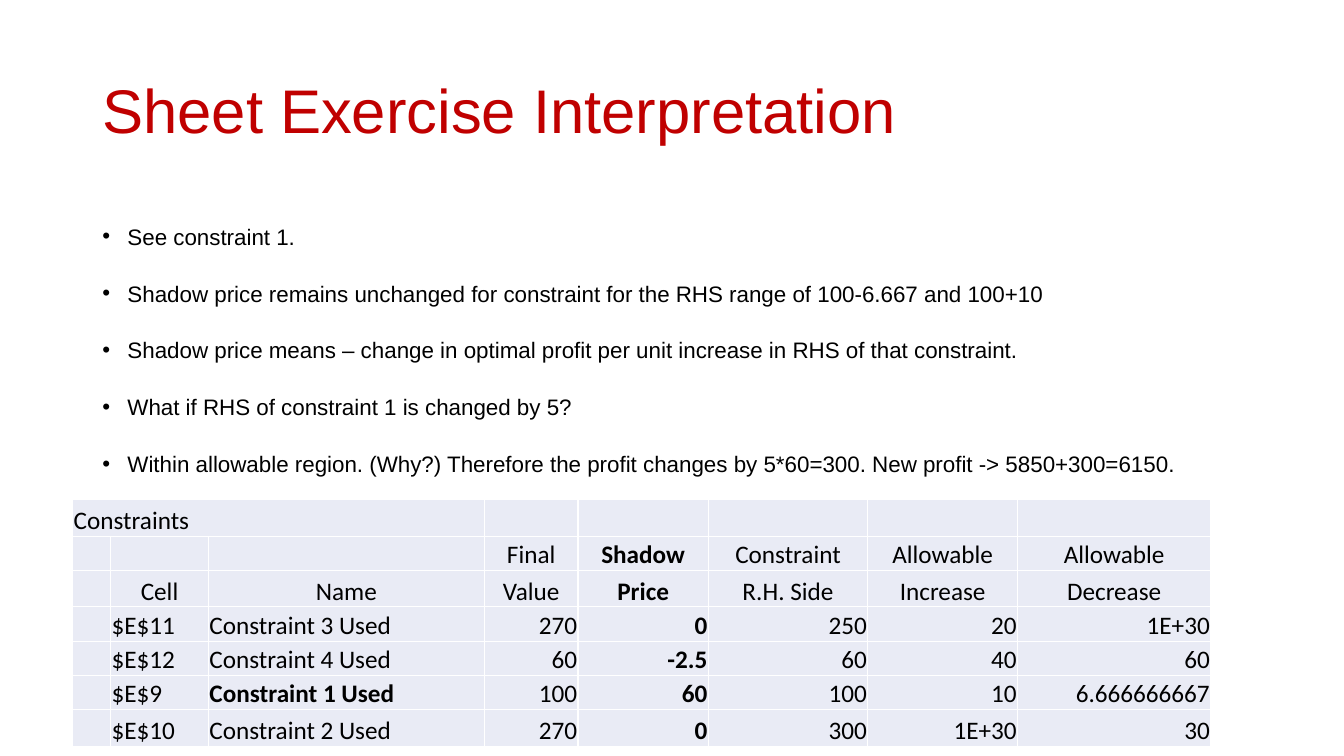
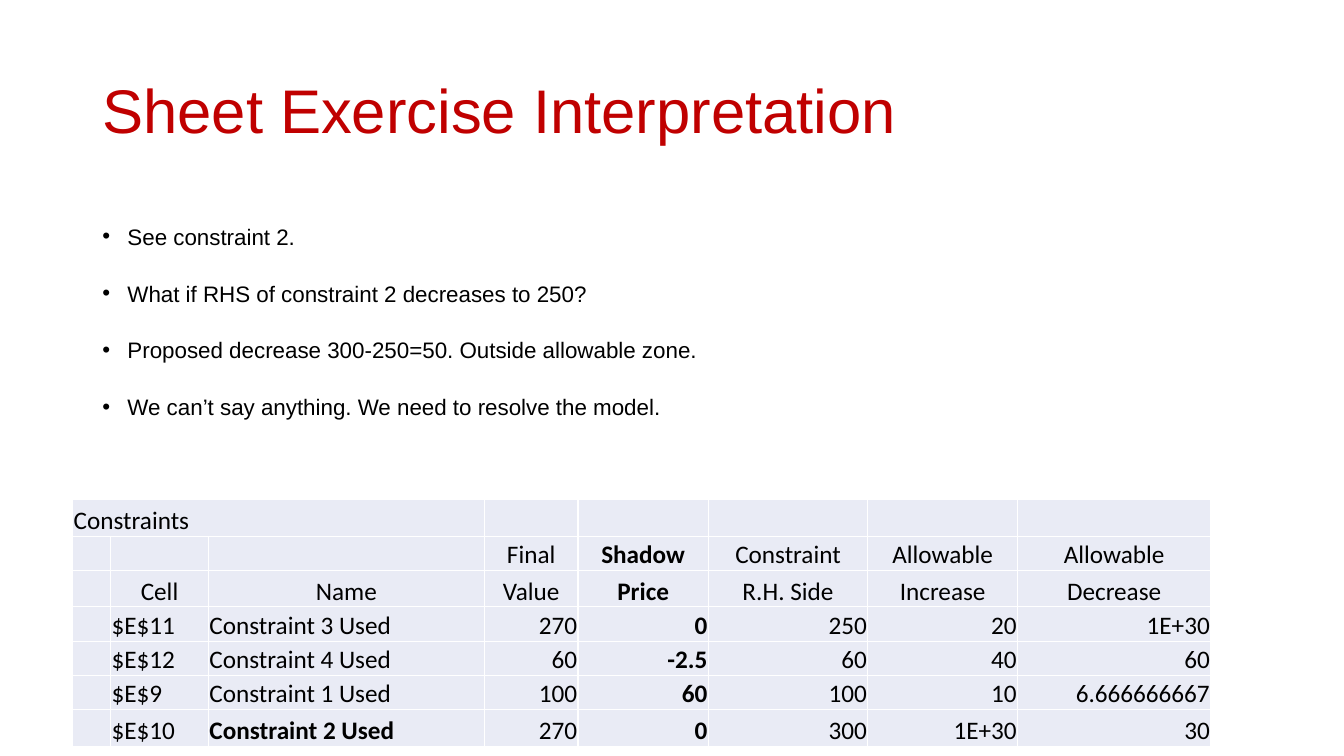
from dataclasses import dataclass

from lxml import etree
from pptx import Presentation
from pptx.dml.color import RGBColor as Rgb
from pptx.enum import text
from pptx.oxml import ns
from pptx.util import Pt


@dataclass(frozen=True)
class Theme:
    red: Rgb = Rgb(0xC0, 0x00, 0x00)
    ink: Rgb = Rgb(0x00, 0x00, 0x00)
    pale: Rgb = Rgb(0xE9, 0xEB, 0xF5)
    face: str = "Arial"
    grid: str = "Calibri"
    head: int = 44
    body: int = 16
    cell: int = 18


T = Theme()
TITLE = "Sheet Exercise Interpretation"
HEAD_BOX = (66, 29, 828, 104)
LIST_BOX = (66, 144, 828, 343)
GRID_BOX = (52, 357, 813, 176)
COLS = (27, 70, 197, 67, 93, 114, 107, 138)
ROWS = (26, 24.5, 26, 24.5, 24.5, 24.5, 26)
PRICE = 4
NAME = 2
HEADS = 3

DATA = (
    ("Constraints", "", "", "", "", "", "", ""),
    ("", "", "", "Final", "Shadow", "Constraint", "Allowable", "Allowable"),
    ("", "Cell", "Name", "Value", "Price", "R.H. Side", "Increase", "Decrease"),
    ("", "$E$11", "Constraint 3 Used", "270", "0", "250", "20", "1E+30"),
    ("", "$E$12", "Constraint 4 Used", "60", "-2.5", "60", "40", "60"),
    ("", "$E$9", "Constraint 1 Used", "100", "60", "100", "10", "6.666666667"),
    ("", "$E$10", "Constraint 2 Used", "270", "0", "300", "1E+30", "30"),
)

SLIDES = (
    ("Constraint 1 Used", (
        "See constraint 1.",
        "Shadow price remains unchanged for constraint for the RHS range of 100-6.667 and 100+10",
        "Shadow price means – change in optimal profit per unit increase in RHS of that constraint.",
        "What if RHS of constraint 1 is changed by 5?",
        "Within allowable region. (Why?) Therefore the profit changes by 5*60=300. "
        "New profit -> 5850+300=6150.",
    )),
    ("Constraint 2 Used", (
        "See constraint 2.",
        "What if RHS of constraint 2 decreases to 250?",
        "Proposed decrease 300-250=50. Outside allowable zone.",
        "We can’t say anything. We need to resolve the model.",
    )),
)


def style(para, face, size, color, bold=False):
    font = para.font
    font.name, font.size, font.bold = face, Pt(size), bold
    font.color.rgb = color


def frame(slide, box):
    """Add a wrapping text box and return its text frame."""
    area = slide.shapes.add_textbox(*map(Pt, box)).text_frame
    area.word_wrap = True
    return area


def title(slide, box):
    area = frame(slide, box)
    area.vertical_anchor = text.MSO_ANCHOR.MIDDLE
    para = area.paragraphs[0]
    para.text = TITLE
    para.line_spacing = 0.9
    style(para, T.face, T.head, T.red)


def bullet(para):
    props = para._p.get_or_add_pPr()
    props.set("marL", str(Pt(18)))
    props.set("indent", str(-Pt(18)))
    etree.SubElement(props, ns.qn("a:buFont")).set("typeface", T.face)
    etree.SubElement(props, ns.qn("a:buChar")).set("char", "•")


def points(slide, box, lines):
    area = frame(slide, box)
    for i, line in enumerate(lines):
        para = area.add_paragraph() if i else area.paragraphs[0]
        para.text = line
        para.line_spacing = 1.6
        para.space_before = Pt(10)
        bullet(para)
        style(para, T.face, T.body, T.ink)


def align(row, col):
    if 0 < row < HEADS:
        return text.PP_ALIGN.CENTER
    return text.PP_ALIGN.RIGHT if col > NAME else text.PP_ALIGN.LEFT


def fill(cell, row, col, value, bold):
    cell.fill.solid()
    cell.fill.fore_color.rgb = T.pale
    cell.margin_left = cell.margin_right = cell.margin_top = Pt(0.7)
    cell.margin_bottom = 0
    cell.vertical_anchor = text.MSO_ANCHOR.BOTTOM
    para = cell.text_frame.paragraphs[0]
    para.text = value
    para.alignment = align(row, col)
    style(para, T.grid, T.cell, T.ink, bold)


def report(slide, box, focus):
    """Draw the constraint table with the focus name in bold."""
    grid = slide.shapes.add_table(len(ROWS), len(COLS), *map(Pt, box)).table
    grid.first_row = grid.horz_banding = False
    for col, width in zip(grid.columns, COLS):
        col.width = Pt(width)
    for row, height in zip(grid.rows, ROWS):
        row.height = Pt(height)
    for r, line in enumerate(DATA):
        for c, value in enumerate(line):
            fill(grid.cell(r, c), r, c, value, c == PRICE or value == focus)
    grid.cell(0, 0).merge(grid.cell(0, NAME))


def main():
    deck = Presentation()
    deck.slide_width, deck.slide_height = Pt(960), Pt(540)
    for focus, lines in SLIDES:
        slide = deck.slides.add_slide(deck.slide_layouts[6])
        title(slide, HEAD_BOX)
        points(slide, LIST_BOX, lines)
        report(slide, GRID_BOX, focus)
    deck.save("out.pptx")


if __name__ == "__main__":
    main()
